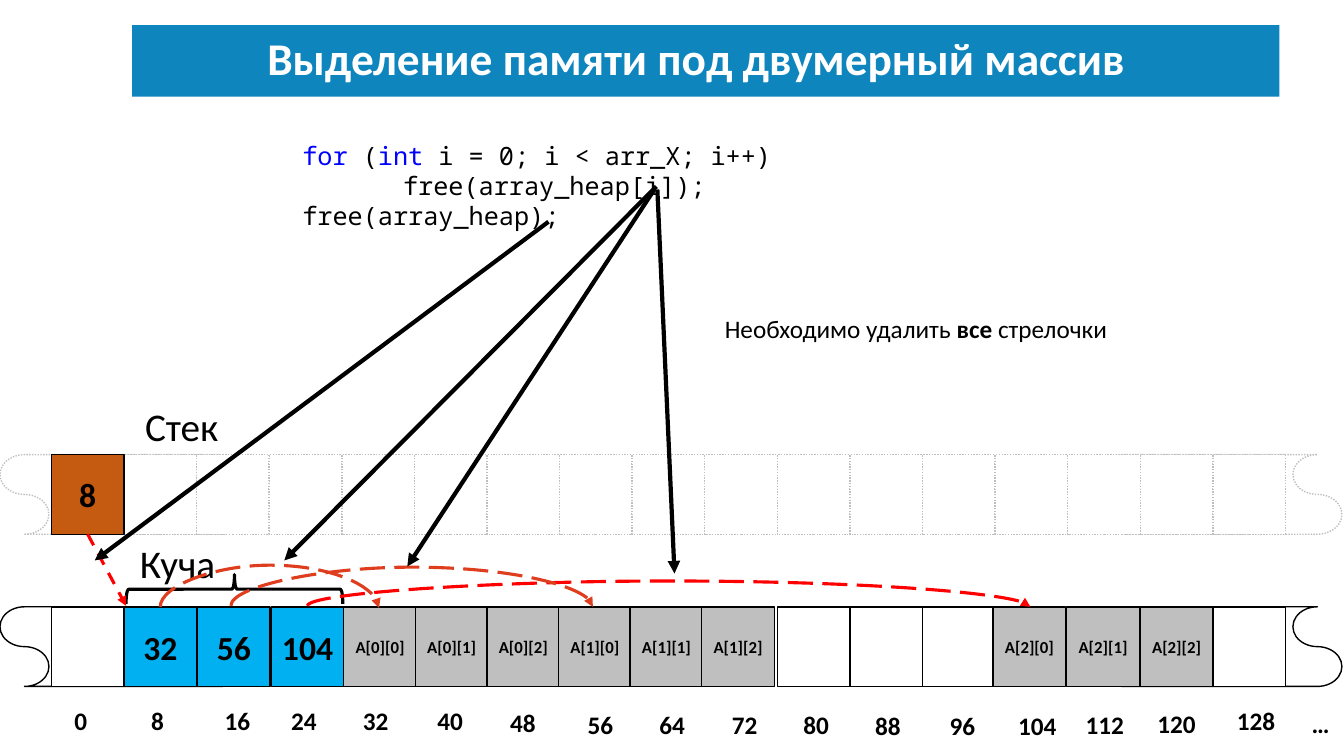
import pptx
import pptx.util
import pptx.dml.color
import pptx.enum.dml
import pptx.enum.shapes
import pptx.enum.text
import pptx.oxml
import pptx.oxml.ns
from pptx.util import Inches

# Content
TITLE = "Выделение памяти под двумерный массив"
CODE = [
    [("for", "keyword"), (" (", "black"), ("int", "keyword"), (" i = 0; i < arr_X; i++)", "black")],
    [("\tfree(array_heap[i]);", "black")],
    [("free(array_heap);", "black")],
]
NOTE = [("Необходимо удалить ", False), ("все", True), (" стрелочки", False)]
SECTIONS = [("Стек", 1.34, 3.94, 0.94), ("Куча", 1.29, 5.3, 0.96)]
POINTERS = ["32", "56", "104"]
ELEMENTS = [f"A[{row}][{column}]" for row in range(3) for column in range(3)]
ADDRESSES = [str(8 * index) for index in range(17)] + ["…"]
ADDRESS_LEFTS = [0.64, 1.4, 2.13, 2.79, 3.5, 4.24, 4.96, 5.73, 6.44, 7.16,
                 7.87, 8.58, 9.32, 10, 10.67, 11.38, 12.17, 12.91]
ADDRESS_TOPS = [6.95] * 6 + [6.97] + [6.99] * 4 + [7] * 3 + [6.99, 6.98, 6.95, 6.98]
DELETE_ARROWS = [(5.44, 2.2, 0.94, 5.56), (6.51, 1.85, 2.82, 5.56),
                 (6.49, 1.88, 4.04, 5.62), (6.52, 1.88, 6.69, 5.69)]
# Start x, end x, y of the start, rise above it, colour
POINTER_CURVES = [(3.05, 10.22, 6.01, 0.25, "red"), (2.29, 5.88, 6.01, 0.39, "orange"),
                  (1.59, 3.76, 6.02, 0.42, "orange")]

THEME = {
    "white": "FFFFFF", "black": "000000", "bar": "0F85BE", "faint": "BFBFBF",
    "stack": "C55A11", "pointer": "00B0F0", "element": "BFBFBF",
    "red": "FF0000", "orange": "DF3E1E", "keyword": "0000FF",
    "font": "Calibri", "code_font": "Noto Sans Mono",
    "title": 32.4, "section": 28, "value": 24, "body": 18, "small": 12,
}
CELL_WIDTH, CELL_HEIGHT, CELL_PITCH = 0.72, 0.79, 0.72
STACK_TOP, HEAP_TOP = 4.51, 6.02
# Positions of the free cells on each tape
STACK_FREE, HEAP_FREE = range(1, 17), (0, 10, 11, 12, 16)

Shape = pptx.enum.shapes.MSO_SHAPE
Connector = pptx.enum.shapes.MSO_CONNECTOR
Dash = pptx.enum.dml.MSO_LINE
CENTER = pptx.enum.text.PP_ALIGN.CENTER
MIDDLE = pptx.enum.text.MSO_ANCHOR.MIDDLE

presentation = pptx.Presentation()
presentation.slide_width, presentation.slide_height = Inches(13.33), Inches(7.5)
slide = presentation.slides.add_slide(presentation.slide_layouts[6])


def color(name):
    return pptx.dml.color.RGBColor.from_string(THEME[name])


def set_line(line, name, width, dash=None):
    line.color.rgb = color(name)
    line.width = pptx.util.Pt(width)
    if dash is not None:
        line.dash_style = dash


def set_font(font, size, name="black", bold=False, face="font"):
    font.name = THEME[face]
    font.size = pptx.util.Pt(THEME[size])
    font.bold = bold
    font.color.rgb = color(name)


def add_block(kind, left, top, width, height, fill=None, line=None, line_width=1, dash=None):
    shape = slide.shapes.add_shape(kind, Inches(left), Inches(top), Inches(width), Inches(height))
    shape.shadow.inherit = False
    if fill:
        shape.fill.solid()
        shape.fill.fore_color.rgb = color(fill)
    else:
        shape.fill.background()
    if line:
        set_line(shape.line, line, line_width, dash)
    else:
        shape.line.fill.background()
    return shape


def add_cell(text, left, top, fill, size="value"):
    shape = add_block(Shape.RECTANGLE, left, top, CELL_WIDTH, CELL_HEIGHT, fill, "black")
    frame = shape.text_frame
    frame.word_wrap = False
    frame.vertical_anchor = MIDDLE
    paragraph = frame.paragraphs[0]
    paragraph.text = text
    paragraph.alignment = CENTER
    set_font(paragraph.font, size, bold=True)
    return shape


def add_frame(left, top, width, height, wrap=True):
    box = slide.shapes.add_textbox(Inches(left), Inches(top), Inches(width), Inches(height))
    box.text_frame.word_wrap = wrap
    return box.text_frame


def add_text(text, left, top, width, height, size, wrap=True, **font):
    frame = add_frame(left, top, width, height, wrap)
    frame.paragraphs[0].text = text
    set_font(frame.paragraphs[0].font, size, **font)
    return frame


def add_run(paragraph, text, **font):
    run = paragraph.add_run()
    run.text = text
    set_font(run.font, "body", **font)


def add_arrow(kind, start_x, start_y, end_x, end_y, name, width, dash=None):
    arrow = slide.shapes.add_connector(
        kind, Inches(start_x), Inches(start_y), Inches(end_x), Inches(end_y))
    set_line(arrow.line, name, width, dash)
    namespace = pptx.oxml.ns.nsdecls("a")
    arrow.line._get_or_add_ln().append(
        pptx.oxml.parse_xml(f'<a:tailEnd {namespace} type="triangle"/>'))
    arrow._element.spPr.append(pptx.oxml.parse_xml(f"<a:effectLst {namespace}/>"))
    return arrow


def add_arc(start_x, end_x, start_y, rise, name):
    depth, span = 0.01, end_x - start_x
    arc = add_arrow(Connector.CURVE, start_x, start_y, end_x, start_y + depth, name, 2.25, Dash.LONG_DASH)
    # The bend runs upwards once the narrow frame is turned on its side
    arc.left, arc.top = Inches((start_x + end_x - depth) / 2), Inches(start_y + (depth - span) / 2)
    arc.width, arc.height = Inches(depth), Inches(span)
    properties = arc._element.spPr
    properties.xfrm.set("rot", "16200000")
    properties.xfrm.set("flipH", "1")
    guides = properties.find(pptx.oxml.ns.qn("a:prstGeom")).get_or_add_avLst()
    bend = round(-rise / depth * 100000)
    guides.append(pptx.oxml.parse_xml(
        f'<a:gd {pptx.oxml.ns.nsdecls("a")} name="adj1" fmla="val {bend}"/>'))


def add_tape(top, free_cells, line, dash=None):
    length = 2.43
    for left in (0.82, 11.7):
        end = add_block(Shape.FLOWCHART_PUNCHED_TAPE, left, top + (CELL_HEIGHT - length) / 2,
                        CELL_HEIGHT, length, "white", line, dash=dash)
        end.rotation = 270
    for index in free_cells:
        add_block(Shape.RECTANGLE, 0.51 + index * CELL_PITCH, top, CELL_WIDTH, CELL_HEIGHT,
                  "white", line, dash=dash)


# Title bar
add_block(Shape.RECTANGLE, 1.31, 0.25, 11.38, 0.71, "bar")
title = add_text(TITLE, 1.31, 0.33, 11.19, 0.55, "title", name="white", bold=True)
title.vertical_anchor = MIDDLE
title.paragraphs[0].alignment = CENTER
title.paragraphs[0].line_spacing = 0.9

# Memory tapes and addresses
add_tape(STACK_TOP, STACK_FREE, "faint", Dash.ROUND_DOT)
add_tape(HEAP_TOP, HEAP_FREE, "black")
for address, left, top in zip(ADDRESSES, ADDRESS_LEFTS, ADDRESS_TOPS):
    width = {1: 0.42, 2: 0.48, 3: 0.66}[len(address)]
    add_text(address, left, top, width, 0.4, "body", bold=True)

# Occupied cells
stack_cell = add_cell("8", 0.51, STACK_TOP, "stack")
for index, value in enumerate(POINTERS):
    add_cell(value, 1.23 + 0.73 * index, HEAP_TOP, "pointer")
for index, element in enumerate(ELEMENTS):
    left = 3.41 + 0.71 * index if index < 6 else 9.85 + 0.73 * (index - 6)
    add_cell(element, left, HEAP_TOP, "element", "small")
brace = add_block(Shape.LEFT_BRACE, 2.18, 4.77, 0.29, 2.15, line="black", line_width=2.25)
brace.rotation = 90

# Captions
for caption, left, top, width in SECTIONS:
    add_text(caption, left, top, width, 0.57, "section", wrap=False)

# Pointer arrows
stack_arrow = add_arrow(Connector.STRAIGHT, 0.87, 5.3, 1.25, 6.01, "red", 2.25, Dash.DASH)
stack_arrow.begin_connect(stack_cell, 2)
for curve in POINTER_CURVES:
    add_arc(*curve)

# Code
code = add_frame(2.4, 1.34, 9.93, 1.01)
for index, parts in enumerate(CODE):
    paragraph = code.paragraphs[0] if index == 0 else code.add_paragraph()
    for attribute, value in (("marL", 0.5), ("indent", 0), ("defTabSz", 1)):
        paragraph._p.get_or_add_pPr().set(attribute, str(Inches(value)))
    for text, name in parts:
        add_run(paragraph, text, name=name, face="code_font")

# Arrows from the code to what it frees
for ends in DELETE_ARROWS:
    add_arrow(Connector.STRAIGHT, *ends, "black", 3)

# Note
note = add_frame(7.09, 3.06, 4.12, 0.4, wrap=False)
for text, bold in NOTE:
    add_run(note.paragraphs[0], text, bold=bold)

presentation.save("out.pptx")
